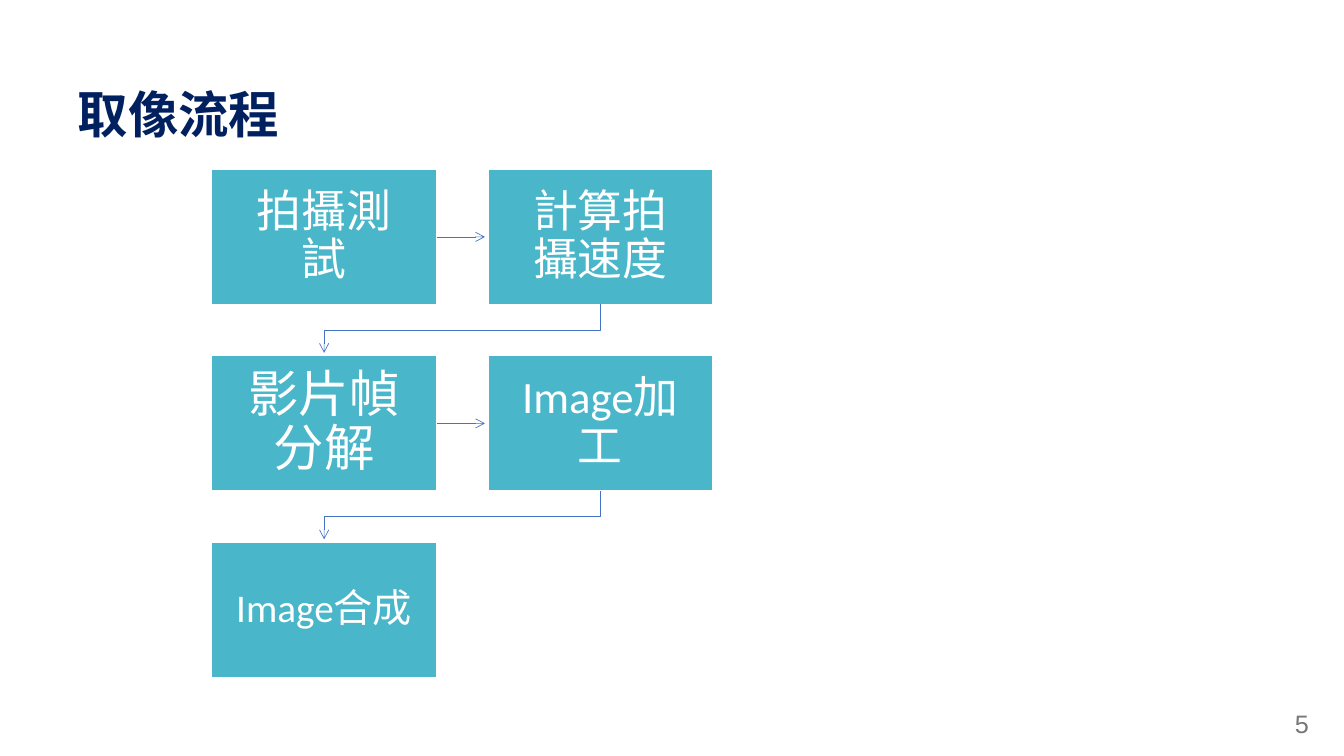
from lxml import etree
from pptx import Presentation
from pptx.dml.color import RGBColor
from pptx.enum.shapes import MSO_CONNECTOR, MSO_SHAPE
from pptx.enum.text import MSO_ANCHOR, MSO_AUTO_SIZE, PP_ALIGN
from pptx.oxml.ns import qn
from pptx.util import Inches, Pt

TITLE = "取像流程"
PAGE_NUMBER = "5"
STEPS = [
    ("拍攝測試", 32),
    ("計算拍攝速度", 32),
    ("影片幀分解", 36),
    ("Image加工", 32),
    ("Image合成", 28),
]

NAVY = RGBColor(0x00, 0x20, 0x60)
TEAL = RGBColor(0x4A, 0xB6, 0xC9)
BLUE = RGBColor(0x44, 0x72, 0xC4)
GRAY = RGBColor(0x77, 0x77, 0x77)
WHITE = RGBColor(0xFF, 0xFF, 0xFF)

COLUMNS = 2
LEFT, TOP = 2.1, 1.68
BOX_WIDTH, BOX_HEIGHT = 2.23, 1.34
COLUMN_STEP, ROW_STEP = 2.74, 1.85
ARROW_GAP = 0.03


def write_text(shape, text, *, size, color, font="Calibri", bold=False,
               align=PP_ALIGN.LEFT, anchor=MSO_ANCHOR.MIDDLE,
               inset=None, line_spacing=0.9):
    """Fill a shape with one formatted paragraph."""
    frame = shape.text_frame
    frame.word_wrap = True
    frame.auto_size = MSO_AUTO_SIZE.NONE
    frame.vertical_anchor = anchor
    if inset is not None:
        frame.margin_left = frame.margin_right = Inches(inset)
        frame.margin_top = frame.margin_bottom = Inches(inset)
    frame.text = text
    paragraph = frame.paragraphs[0]
    paragraph.alignment = align
    paragraph.line_spacing = line_spacing
    paragraph.font.name = font
    paragraph.font.size = Pt(size)
    paragraph.font.bold = bold
    paragraph.font.color.rgb = color


def style_arrow(shape):
    """Give a line its colour, width and open arrowhead."""
    shape.line.color.rgb = BLUE
    shape.line.width = Pt(0.5)
    line = shape.line._get_or_add_ln()
    etree.SubElement(line, qn("a:tailEnd"), type="arrow")
    properties = shape._element.spPr
    if properties.find(qn("a:effectLst")) is None:
        etree.SubElement(properties, qn("a:effectLst"))


def box_position(index):
    """Return the left and top of a step in the grid."""
    row, column = divmod(index, COLUMNS)
    return LEFT + column * COLUMN_STEP, TOP + row * ROW_STEP


def add_step(slide, index, text, size):
    """Draw one step box."""
    left, top = box_position(index)
    box = slide.shapes.add_shape(MSO_SHAPE.RECTANGLE, Inches(left), Inches(top),
                                 Inches(BOX_WIDTH), Inches(BOX_HEIGHT))
    box.shadow.inherit = False
    box.fill.solid()
    box.fill.fore_color.rgb = TEAL
    box.line.color.rgb = WHITE
    box.line.width = Pt(1)
    write_text(box, text, size=size, color=WHITE, align=PP_ALIGN.CENTER,
               inset=size / 128)


def add_arrow(slide, index):
    """Draw the arrow from one step to the next."""
    left, top = box_position(index)
    next_left, next_top = box_position(index + 1)
    if next_top == top:
        middle = Inches(top + BOX_HEIGHT / 2)
        arrow = slide.shapes.add_connector(
            MSO_CONNECTOR.STRAIGHT, Inches(left + BOX_WIDTH), middle,
            Inches(next_left - ARROW_GAP), middle)
    else:
        start_x, end_x = left + BOX_WIDTH / 2, next_left + BOX_WIDTH / 2
        start_y, end_y = top + BOX_HEIGHT, next_top - ARROW_GAP
        turn_y = (start_y + next_top) / 2
        points = [(start_x, turn_y), (end_x, turn_y), (end_x, end_y)]
        builder = slide.shapes.build_freeform(Inches(start_x), Inches(start_y))
        builder.add_line_segments([(Inches(x), Inches(y)) for x, y in points],
                                  close=False)
        arrow = builder.convert_to_shape()
        arrow.fill.background()
    style_arrow(arrow)


def main():
    """Build the slide and save it."""
    presentation = Presentation()
    presentation.slide_width = Inches(13.33)
    presentation.slide_height = Inches(7.5)
    slide = presentation.slides.add_slide(presentation.slide_layouts[5])

    title = slide.shapes.title
    title.left, title.top = Inches(0.67), Inches(0.78)
    title.width, title.height = Inches(12), Inches(0.77)
    write_text(title, TITLE, size=36, color=NAVY, font="Arial", bold=True)

    for index, (text, size) in enumerate(STEPS):
        add_step(slide, index, text, size)
    for index in range(len(STEPS) - 1):
        add_arrow(slide, index)

    number = slide.shapes.add_textbox(Inches(12.08), Inches(6.98),
                                      Inches(1), Inches(0.4))
    write_text(number, PAGE_NUMBER, size=18, color=GRAY, font="Arial",
               align=PP_ALIGN.RIGHT, anchor=MSO_ANCHOR.TOP, line_spacing=1.0)
    presentation.save("out.pptx")


if __name__ == "__main__":
    main()
